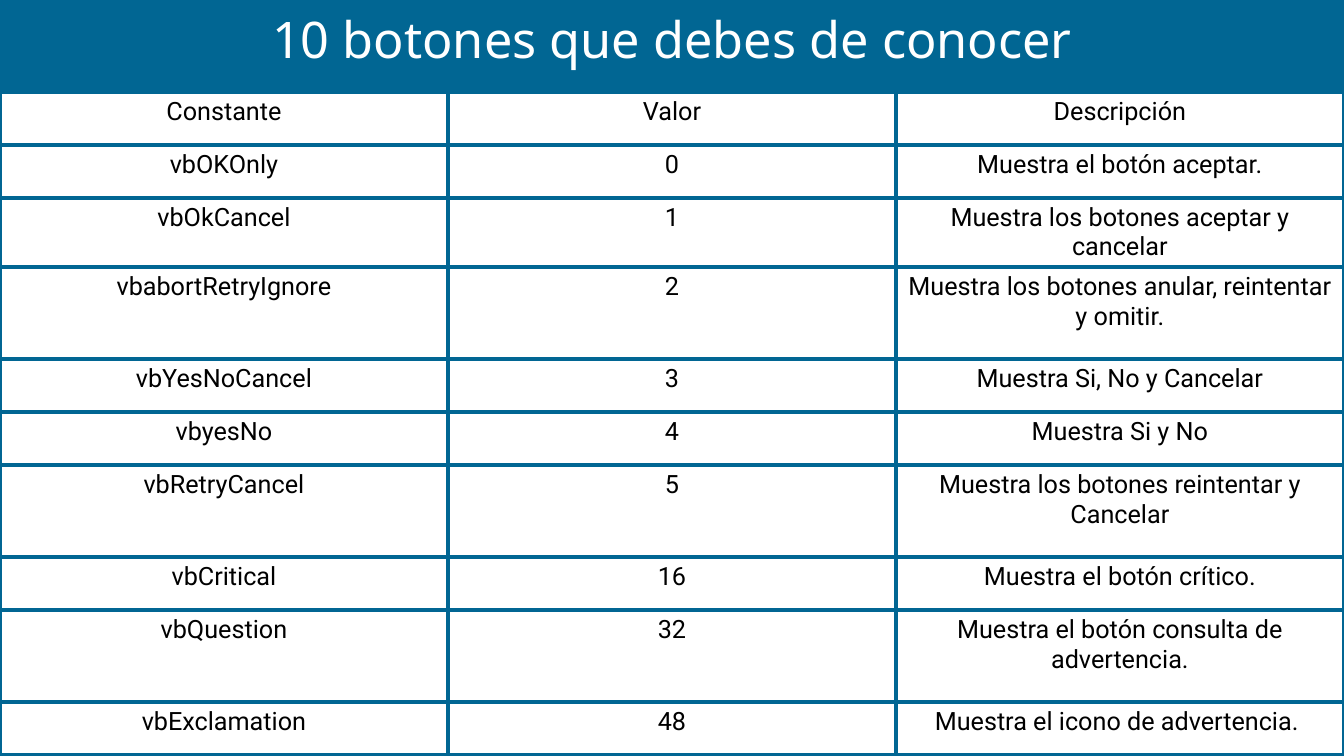
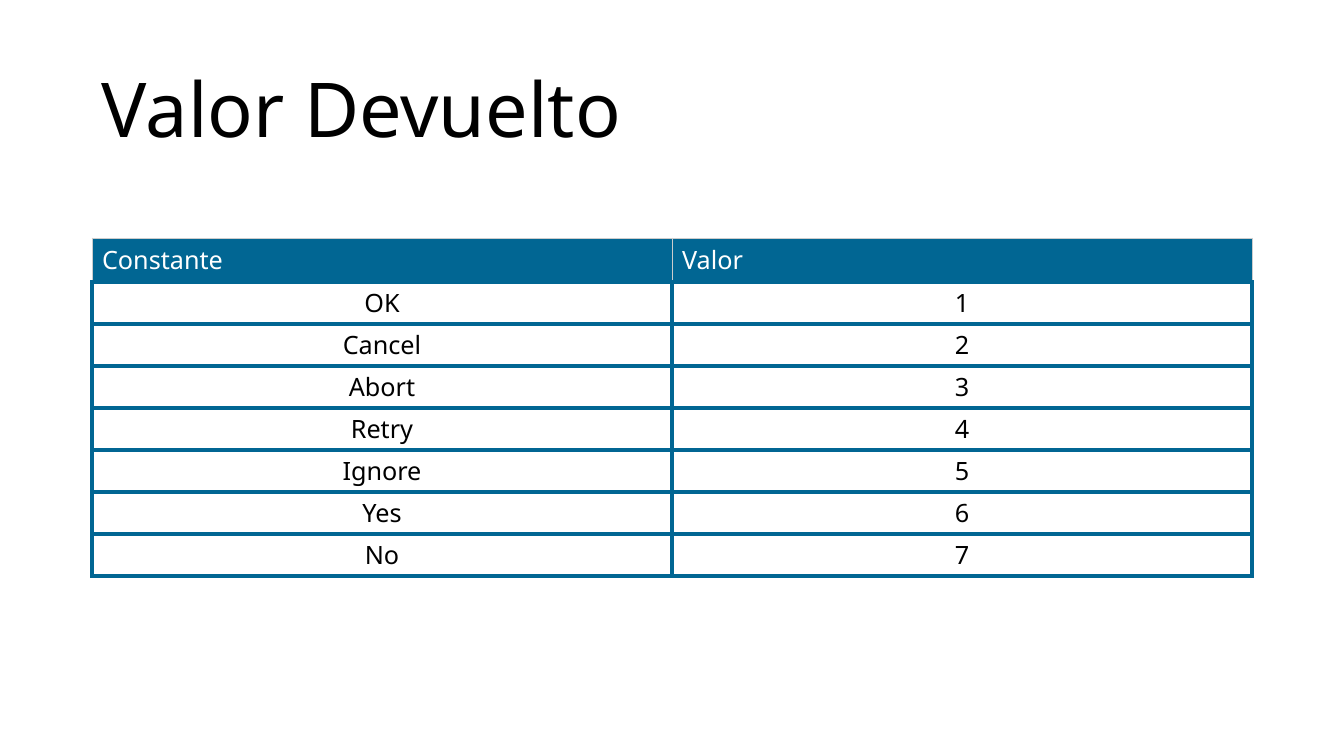
"""Build two slides with tables of message box constants."""
from dataclasses import dataclass
from typing import NamedTuple

from lxml.etree import SubElement
from pptx import Presentation
from pptx.dml.color import RGBColor as Color
from pptx.enum.text import MSO_ANCHOR as Anchor, PP_ALIGN as Align
from pptx.oxml.ns import qn
from pptx.util import Emu, Pt


@dataclass(frozen=True)
class Theme:
    blue: str = "016693"
    white: str = "FFFFFF"
    black: str = "000000"
    gray: str = "CCCCCC"
    title_font: str = "Noto Sans"
    body_font: str = "Roboto"
    body_size: int = 18
    band_size: int = 36
    title_size: int = 54
    thick: float = 3
    thin: float = 0.75


class Border(NamedTuple):
    color: str
    width: float


class Box(NamedTuple):
    left: int
    top: int
    width: int
    height: int


THEME = Theme()
BLUE_EDGE = Border(THEME.blue, THEME.thick)
GRAY_EDGE = Border(THEME.gray, THEME.thin)


@dataclass(frozen=True)
class CellStyle:
    font: str
    size: int = THEME.body_size
    color: str = THEME.black
    fill: str = THEME.white
    align: Align = Align.CENTER
    anchor: Anchor = Anchor.TOP
    margin: int | None = None
    edge: Border = BLUE_EDGE
    bottom: Border = BLUE_EDGE


class Row(NamedTuple):
    height: int
    texts: tuple[str, ...]
    style: CellStyle


BAND = CellStyle(THEME.title_font, THEME.band_size, THEME.white, THEME.blue)
PLAIN = CellStyle(THEME.body_font)
HEADER = CellStyle(THEME.title_font, color=THEME.white, fill=THEME.blue,
                   align=Align.LEFT, anchor=Anchor.MIDDLE, edge=GRAY_EDGE)
VALUE = CellStyle(THEME.title_font, anchor=Anchor.MIDDLE, margin=4)

SHORT, WRAPPED, TALL = 53, 69, 92
BUTTON_ROWS = [
    Row(TALL, ("10 botones que debes de conocer",), BAND),
    *(Row(height, texts, PLAIN) for height, *texts in (
        (SHORT, "Constante", "Valor", "Descripción"),
        (SHORT, "vbOKOnly", "0", "Muestra el botón aceptar."),
        (WRAPPED, "vbOkCancel", "1", "Muestra los botones aceptar y cancelar"),
        (TALL, "vbabortRetryIgnore", "2",
         "Muestra los botones anular, reintentar y omitir."),
        (SHORT, "vbYesNoCancel", "3", "Muestra Si, No y Cancelar"),
        (SHORT, "vbyesNo", "4", "Muestra Si y No"),
        (TALL, "vbRetryCancel", "5",
         "Muestra los botones reintentar y Cancelar"),
        (SHORT, "vbCritical", "16", "Muestra el botón crítico."),
        (TALL, "vbQuestion", "32",
         "Muestra el botón consulta de advertencia."),
        (SHORT, "vbExclamation", "48", "Muestra el icono de advertencia. "),
    )),
]
ANSWERS = ("OK", "Cancel", "Abort", "Retry", "Ignore", "Yes", "No")
ANSWER_ROWS = [
    Row(44, ("Constante", "Valor"), HEADER),
    *(Row(42, (answer, str(value)), VALUE)
      for value, answer in enumerate(ANSWERS, start=1)),
]


def px(pixels: int) -> Emu:
    """Turn pixels into EMU."""
    return Emu(round(pixels * 914400 / 100.8))


def write_text(frame, text: str, *, font: str, size: int, color: str,
               align: Align = Align.LEFT, line_spacing: float | None = None) -> None:
    """Write one formatted paragraph into a text frame."""
    paragraph = frame.paragraphs[0]
    paragraph.alignment = align
    paragraph.line_spacing = line_spacing
    run = paragraph.add_run()
    run.text = text
    run.font.name = font
    run.font.size = Pt(size)
    run.font.color.rgb = Color.from_string(color)


def set_borders(cell, style: CellStyle) -> None:
    """Draw the four borders of a cell."""
    properties = cell._tc.get_or_add_tcPr()
    for side in "LRTB":
        border = style.bottom if side == "B" else style.edge
        line = SubElement(properties, qn(f"a:ln{side}"), w=str(Pt(border.width)))
        fill = SubElement(line, qn("a:solidFill"))
        SubElement(fill, qn("a:srgbClr"), val=border.color)


def style_cell(cell, style: CellStyle) -> None:
    """Set the borders, fill, anchor and margins of a cell."""
    set_borders(cell, style)
    cell.fill.solid()
    cell.fill.fore_color.rgb = Color.from_string(style.fill)
    cell.vertical_anchor = style.anchor
    if style.margin is not None:
        cell.margin_left = cell.margin_right = px(style.margin)
        cell.margin_top = cell.margin_bottom = px(style.margin)


def add_grid(slide, left: int, top: int, column_width: int, columns: int,
             rows: list[Row]) -> None:
    """Add a table with equal columns; a lone text spans its row."""
    height = sum(row.height for row in rows)
    table = slide.shapes.add_table(
        len(rows), columns, px(left), px(top),
        px(column_width * columns), px(height)).table
    table.horz_banding = False
    table.first_row = False
    for column in table.columns:
        column.width = px(column_width)
    for index, row in enumerate(rows):
        table.rows[index].height = px(row.height)
        style = row.style
        for position in range(columns):
            style_cell(table.cell(index, position), style)
        if len(row.texts) == 1:
            table.cell(index, 0).merge(table.cell(index, columns - 1))
        for position, text in enumerate(row.texts):
            write_text(table.cell(index, position).text_frame, text,
                       font=style.font, size=style.size, color=style.color,
                       align=style.align)


def add_title(slide, text: str, box: Box) -> None:
    """Add a slide title."""
    frame = slide.shapes.add_textbox(*map(px, box)).text_frame
    frame.word_wrap = True
    frame.vertical_anchor = Anchor.MIDDLE
    write_text(frame, text, font=THEME.title_font, size=THEME.title_size,
               color=THEME.black, line_spacing=0.9)


def main() -> None:
    """Build and save the presentation."""
    presentation = Presentation()
    presentation.slide_width, presentation.slide_height = px(1344), px(756)
    blank = presentation.slide_layouts[6]

    buttons = presentation.slides.add_slide(blank)
    add_grid(buttons, 0, 0, 448, 3, BUTTON_ROWS)

    answers = presentation.slides.add_slide(blank)
    add_title(answers, "Valor Devuelto", Box(92, 40, 1160, 146))
    add_grid(answers, 92, 238, 580, 2, ANSWER_ROWS)

    presentation.save("out.pptx")


main()
